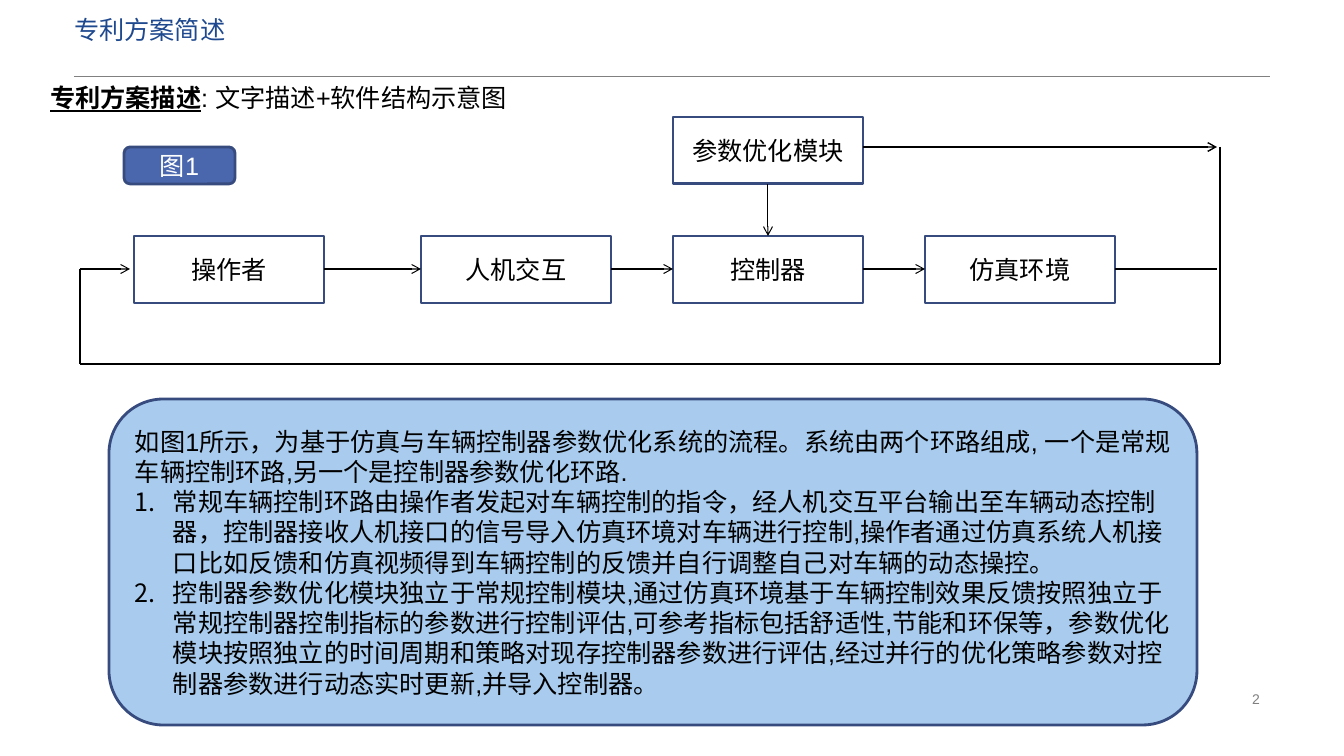
import dataclasses
import itertools

import pptx
import pptx.dml.color
import pptx.enum.shapes
import pptx.enum.text
import pptx.oxml
import pptx.oxml.ns
import pptx.util

EMU_PER_PX = 914400 / 100.8
ALIGN = pptx.enum.text.PP_ALIGN
ANCHOR = pptx.enum.text.MSO_ANCHOR
SHAPE = pptx.enum.shapes.MSO_SHAPE


@dataclasses.dataclass(frozen=True)
class Theme:
    """Colours, fonts and type sizes of the slide."""
    ink: str = "000000"
    title: str = "1F498F"
    grey: str = "808080"
    white: str = "FFFFFF"
    border: str = "374B7F"
    accent: str = "4A66AC"
    panel: str = "A9CCEE"
    latin: str = "Arial"
    cjk: str = "Noto Sans CJK SC"
    body: int = 18
    small: int = 10


T = Theme()


def px(n):
    """Turn pixels into EMU."""
    return pptx.util.Emu(round(n * EMU_PER_PX))


def rgb(value):
    """Turn RRGGBB into a colour."""
    return pptx.dml.color.RGBColor.from_string(value)


def sub(parent, tag, **attrs):
    """Append a DrawingML element with attributes."""
    el = pptx.oxml.parse_xml(f"<{tag} {pptx.oxml.ns.nsdecls('a')}/>")
    for key, value in attrs.items():
        el.set(key, value)
    parent.append(el)


def add_run(p, text, size=T.body, color=T.ink, font=T.latin, bold=False, underline=False):
    """Add formatted text to a paragraph."""
    r = p.add_run()
    r.text = text
    f = r.font
    f.size, f.name, f.bold, f.underline = pptx.util.Pt(size), font, bold, underline
    f.color.rgb = rgb(color)
    sub(r._r.get_or_add_rPr(), "a:ea", typeface=T.cjk)


def frame(sp, anchor=ANCHOR.TOP, align=ALIGN.LEFT):
    """Set wrapping, insets and alignment; return frame and first paragraph."""
    tf = sp.text_frame
    tf.word_wrap, tf.vertical_anchor = True, anchor
    tf.margin_left = tf.margin_right = px(10)
    tf.margin_top = tf.margin_bottom = px(5)
    p = tf.paragraphs[0]
    p.alignment = align
    return tf, p


def add_label(s, x, y, w, h, **layout):
    """Add an empty text box and return its first paragraph."""
    return frame(s.shapes.add_textbox(px(x), px(y), px(w), px(h)), **layout)[1]


def add_box(s, kind, x, y, w, h, fill=None):
    """Add a bordered shape, filled or clear."""
    sp = s.shapes.add_shape(kind, px(x), px(y), px(w), px(h))
    sp.shadow.inherit = False
    if fill:
        sp.fill.solid()
        sp.fill.fore_color.rgb = rgb(fill)
    else:
        sp.fill.background()
    sp.line.color.rgb, sp.line.width = rgb(T.border), pptx.util.Pt(2)
    return sp


def add_caption_box(s, kind, x, y, w, h, text, fill=None, color=T.ink):
    """Add a shape with one centred caption."""
    sp = add_box(s, kind, x, y, w, h, fill)
    p = frame(sp, ANCHOR.MIDDLE, ALIGN.CENTER)[1]
    add_run(p, text, color=color)


def add_line(s, x1, y1, x2, y2, width=1, color=T.ink, arrow=False):
    """Add a straight line, with an arrowhead at its end if asked."""
    c = s.shapes.add_connector(pptx.enum.shapes.MSO_CONNECTOR.STRAIGHT,
                               px(x1), px(y1), px(x2), px(y2))
    c.line.color.rgb, c.line.width = rgb(color), pptx.util.Pt(width)
    if arrow:
        sub(c.line._get_or_add_ln(), "a:tailEnd", type="arrow")
    sub(c._element.spPr, "a:effectLst")


def header(s, x, y, w, h):
    """Title, rule below it and the section heading."""
    add_line(s, x + 34, y + 63, x + w, y + 63, 0.26, T.grey)
    p = add_label(s, x + 24, y, 829, 80)
    p.line_spacing = 0.9
    add_run(p, "专利方案简述", color=T.title, font=T.cjk)
    p = add_label(s, x, y + h - 40, 672, 40)
    add_run(p, "专利方案描述", bold=True, underline=True)
    add_run(p, ": 文字描述+软件结构示意图")


def loop_diagram(s, x, y, w, h):
    """Control loop in a row, optimiser above the controller, feedback around."""
    node_w, node_h, row_y = 190, 67, y + 119
    mid = row_y + node_h // 2
    nodes = {"操作者": x + 54, "人机交互": x + 341, "控制器": x + 593, "仿真环境": x + 845}
    lefts = list(nodes.values())
    add_caption_box(s, SHAPE.ROUNDED_RECTANGLE, x + 44, y + 30, 111, 37, "图1",
                    T.accent, T.white)
    for text, left in nodes.items():
        add_caption_box(s, SHAPE.RECTANGLE, left, row_y, node_w, node_h, text)
    ctrl = nodes["控制器"]
    add_caption_box(s, SHAPE.RECTANGLE, ctrl, y, node_w, node_h, "参数优化模块")

    for a, b in itertools.pairwise(lefts):
        add_line(s, a + node_w, mid, b, mid, 0.75, arrow=True)
    ctrl_mid = ctrl + node_w // 2
    add_line(s, ctrl_mid, y + node_h, ctrl_mid, row_y, 0.75, arrow=True)

    right, bottom, bus_y = x + w, y + h, y + 30
    add_line(s, right, bus_y, right, bottom)
    add_line(s, x, bottom, right, bottom)
    add_line(s, x, mid, x, bottom)
    add_line(s, x, mid, x + 50, mid, 0.75, arrow=True)
    add_line(s, lefts[-1] + node_w, mid, right - 3, mid)
    add_line(s, ctrl + node_w, bus_y, right - 3, bus_y, arrow=True)


def description(s, x, y, w, h):
    """Rounded panel with an introduction and numbered points."""
    intro = ("如图1所示，为基于仿真与车辆控制器参数优化系统的流程。系统由两个环路组成, "
             "一个是常规车辆控制环路,另一个是控制器参数优化环路.")
    points = [
        "常规车辆控制环路由操作者发起对车辆控制的指令，经人机交互平台输出至车辆动态控制器，"
        "控制器接收人机接口的信号导入仿真环境对车辆进行控制,操作者通过仿真系统人机接口"
        "比如反馈和仿真视频得到车辆控制的反馈并自行调整自己对车辆的动态操控。",
        "控制器参数优化模块独立于常规控制模块,通过仿真环境基于车辆控制效果反馈按照独立于"
        "常规控制器控制指标的参数进行控制评估,可参考指标包括舒适性,节能和环保等，"
        "参数优化模块按照独立的时间周期和策略对现存控制器参数进行评估,经过并行的优化策略"
        "参数对控制器参数进行动态实时更新,并导入控制器。",
    ]
    tf, p = frame(add_box(s, SHAPE.ROUNDED_RECTANGLE, x, y, w, h, T.panel), ANCHOR.MIDDLE)
    add_run(p, intro)
    indent = px(38)
    for text in points:
        p = tf.add_paragraph()
        p.alignment = ALIGN.LEFT
        pPr = p._p.get_or_add_pPr()
        pPr.set("marL", str(indent))
        pPr.set("indent", str(-indent))
        sub(pPr, "a:buFont", typeface=T.latin)
        sub(pPr, "a:buAutoNum", type="arabicPeriod")
        add_run(p, text)


def page_number(s, x, y, w, h):
    """Slide number, right-aligned."""
    p = add_label(s, x, y, w, h, anchor=ANCHOR.MIDDLE, align=ALIGN.RIGHT)
    add_run(p, "2", size=T.small, color=T.grey)


prs = pptx.Presentation()
prs.slide_width, prs.slide_height = px(1344), px(756)
s = prs.slides.add_slide(prs.slide_layouts[6])
header(s, 40, 13, 1230, 104)
description(s, 109, 399, 1088, 326)
loop_diagram(s, 80, 117, 1140, 247)
page_number(s, 950, 687, 320, 23)
prs.save("out.pptx")
